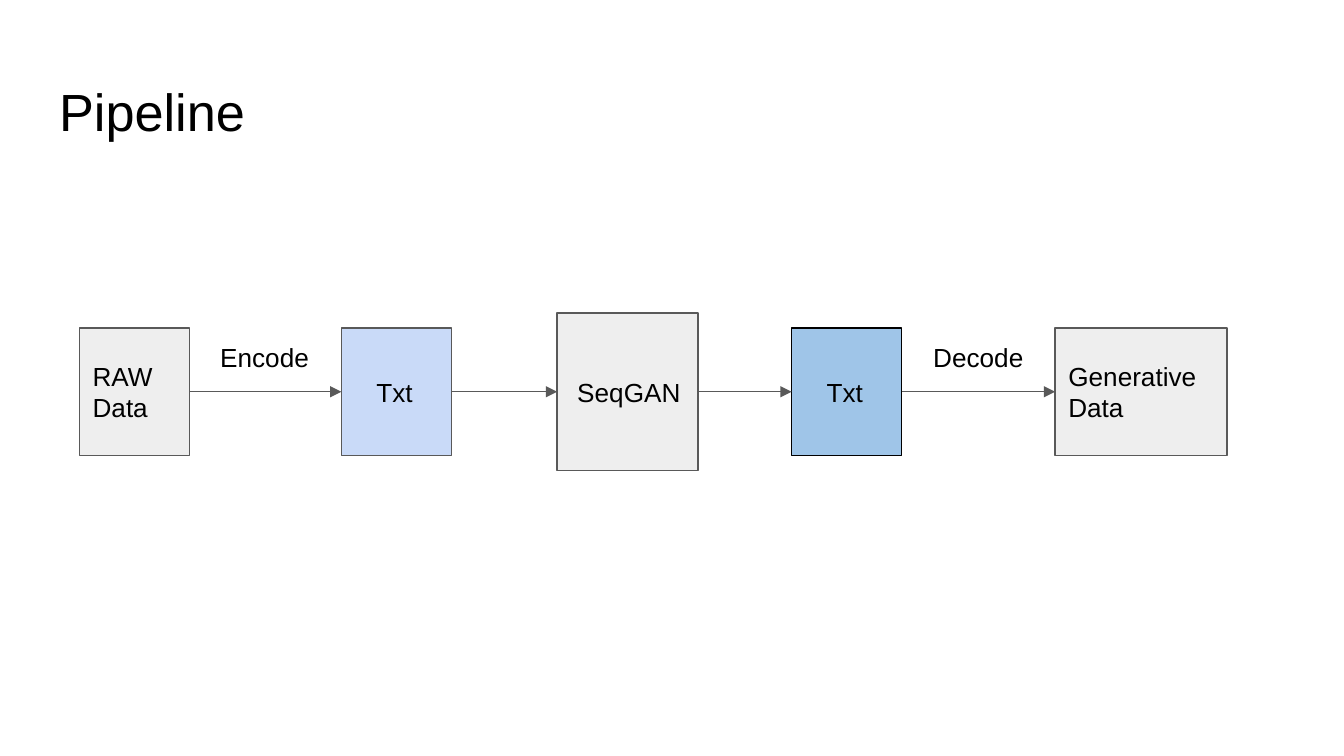
from lxml import etree
from pptx import Presentation
from pptx import util as u
from pptx.dml.color import RGBColor
from pptx.enum import shapes, text
from pptx.oxml.ns import qn

PX = 4572  # 200 px to the inch
COLORS = {"ink": "000000", "gray": "EEEEEE", "edge": "595959",
          "pale": "C9DAF8", "blue": "9FC5E8"}
MIDDLE = 583
INSET = 20


def color(name):
    return RGBColor.from_string(COLORS[name])


def write(shape, lines, size=14, indent=0, anchor=text.MSO_ANCHOR.TOP):
    """Fill a shape with left-aligned paragraphs, one per line."""
    frame = shape.text_frame
    frame.word_wrap = True
    frame.auto_size = text.MSO_AUTO_SIZE.NONE
    frame.vertical_anchor = anchor
    frame.margin_left = (INSET + indent) * PX
    frame.margin_right = frame.margin_top = frame.margin_bottom = INSET * PX
    for number, line in enumerate(lines):
        para = frame.add_paragraph() if number else frame.paragraphs[0]
        para.alignment = text.PP_ALIGN.LEFT
        span = para.add_run()
        span.text = line
        span.font.name = "Arial"
        span.font.size = u.Pt(size)
        span.font.color.rgb = color("ink")


deck = Presentation()
deck.slide_width, deck.slide_height = 2000 * PX, 1125 * PX
page = deck.slides.add_slide(deck.slide_layouts[5])

title = page.shapes.title
title.left, title.top, title.width, title.height = (n * PX for n in (68, 98, 1864, 126))
write(title, ["Pipeline"], size=28)

# left, width, height, fill, edge, indent, lines
stages = [
    (118, 164, 190, "gray", "edge", 0, ["RAW", "Data"]),
    (508, 164, 190, "pale", "edge", 32, ["Txt"]),
    (829, 210, 234, "gray", "edge", 10, ["SeqGAN"]),
    (1178, 164, 190, "blue", "ink", 32, ["Txt"]),
    (1570, 256, 190, "gray", "edge", 0, ["Generative Data"]),
]
boxes = []
for left, width, height, fill, edge, indent, lines in stages:
    box = page.shapes.add_shape(shapes.MSO_SHAPE.RECTANGLE, left * PX,
                                (MIDDLE - height // 2) * PX, width * PX, height * PX)
    box.shadow.inherit = False
    box.fill.solid()
    box.fill.fore_color.rgb = color(fill)
    box.line.color.rgb = color(edge)
    box.line.width = u.Pt(0.75)
    write(box, lines, indent=indent, anchor=text.MSO_ANCHOR.MIDDLE)
    boxes.append(box)

for source, target in zip(boxes, boxes[1:]):
    arrow = page.shapes.add_connector(shapes.MSO_CONNECTOR.STRAIGHT, 0, 0, 0, 0)
    arrow.begin_connect(source, 3)
    arrow.end_connect(target, 1)
    arrow.line.color.rgb = color("edge")
    arrow.line.width = u.Pt(0.75)
    outline = arrow.element.spPr.find(qn("a:ln"))
    etree.SubElement(outline, qn("a:tailEnd"), type="triangle")
    etree.SubElement(arrow.element.spPr, qn("a:effectLst"))

for left, label in ((308, "Encode"), (1369, "Decode")):
    caption = page.shapes.add_textbox(left * PX, 488 * PX, 174 * PX, 80 * PX)
    write(caption, [label])

deck.save("out.pptx")
